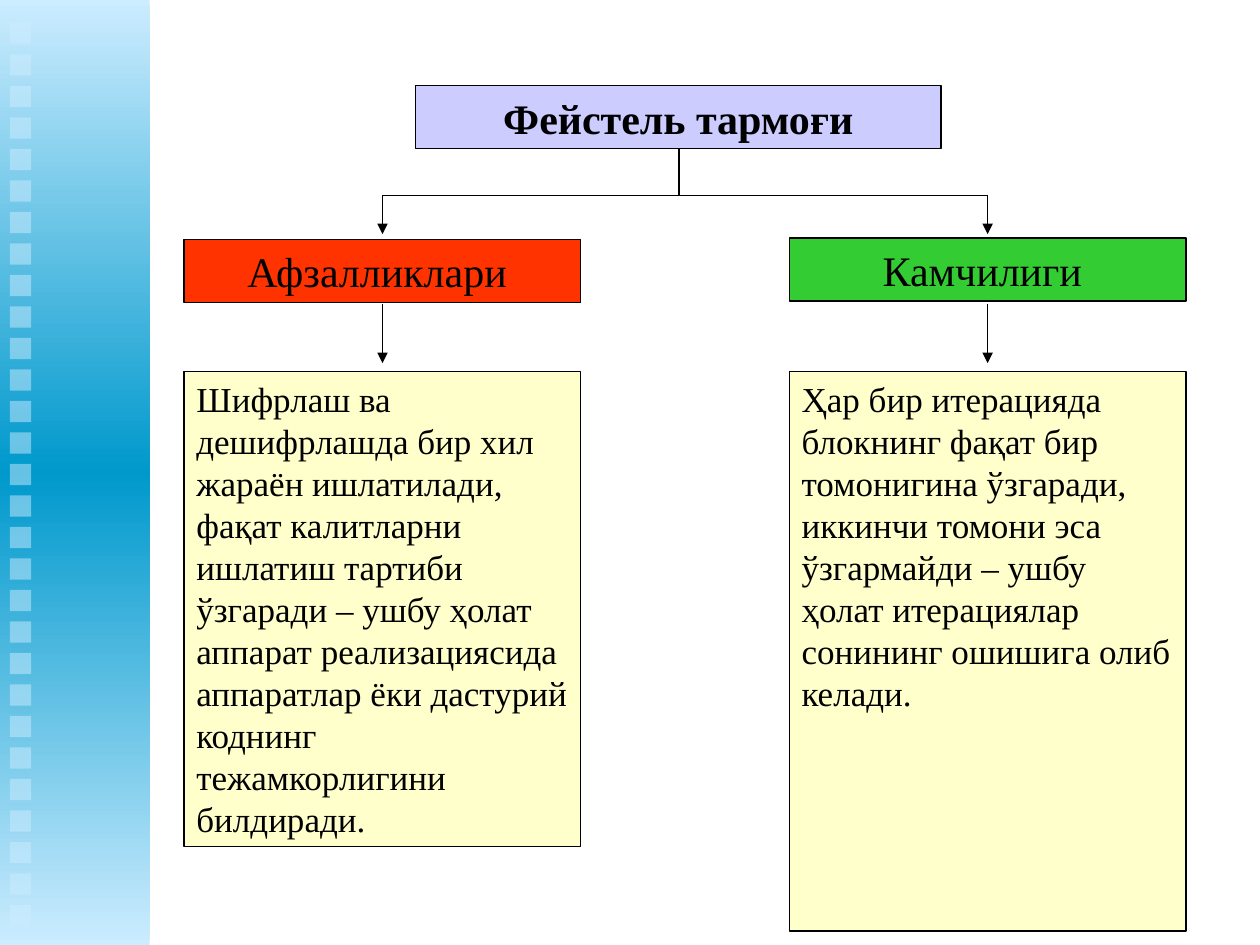
from copy import deepcopy

from pptx import Presentation
from pptx.dml.color import RGBColor
from pptx.enum import shapes, text
from pptx.oxml import ns, xmlchemy
from pptx.util import Cm, Pt

# Content: heading, fill, heading top, body, body height
TITLE = "Фейстель тармоғи"
RED = RGBColor(0xFF, 0x33, 0x00)
GREEN = RGBColor(0x33, 0xCC, 0x33)
COLUMNS = [
    ("Афзалликлари ", RED, 4.83,
     "Шифрлаш ва дешифрлашда бир хил жараён ишлатилади, фақат калитларни "
     "ишлатиш тартиби ўзгаради – ушбу ҳолат аппарат реализациясида "
     "аппаратлар ёки дастурий коднинг тежамкорлигини билдиради.", 9.58),
    ("Камчилиги ", GREEN, 4.8,
     "Ҳар бир итерацияда блокнинг фақат бир томонигина ўзгаради, иккинчи "
     "томони эса ўзгармайди – ушбу ҳолат итерациялар сонининг ошишига "
     "олиб келади.", 11.28),
]

# Style
BLACK = RGBColor(0, 0, 0)
LILAC = RGBColor(0xCC, 0xCC, 0xFF)
CREAM = RGBColor(0xFF, 0xFF, 0xCC)
PALE = RGBColor(0xCC, 0xEC, 0xFF)
BLUE = RGBColor(0x00, 0x99, 0xCC)
FONT = "Times New Roman"

# Grid, in cm
LEFT, STEP, WIDTH, HEAD = 3.71, 12.2, 8, 1.27
BODY, STEM, FORK = 7.49, 13.69, 3.94
SQUARES, FIRST, LAST, SIDE = 29, 0.46, 18.24, 0.43

prs = Presentation()
prs.slide_width, prs.slide_height = Cm(25.4), Cm(19.05)
slide = prs.slides.add_slide(prs.slide_layouts[5])


def add_rect(x, y, w, h):
    rect = slide.shapes.add_shape(
        shapes.MSO_SHAPE.RECTANGLE, Cm(x), Cm(y), Cm(w), Cm(h))
    rect.shadow.inherit = False
    return rect


def fill_box(box, words, color, size, align, bold=False):
    box.fill.solid()
    box.fill.fore_color.rgb = color
    box.line.color.rgb = BLACK
    box.line.width = Pt(0.75)
    frame = box.text_frame
    frame.word_wrap = True
    frame.auto_size = text.MSO_AUTO_SIZE.NONE
    frame.vertical_anchor = text.MSO_ANCHOR.TOP
    para = frame.paragraphs[0]
    para.alignment = align
    run = para.add_run()
    run.text = words
    font = run.font
    font.name, font.size, font.bold = FONT, Pt(size), bold
    font.color.rgb = BLACK


def add_line(x1, y1, x2, y2, arrow=False):
    line = slide.shapes.add_connector(
        shapes.MSO_CONNECTOR.STRAIGHT, Cm(x1), Cm(y1), Cm(x2), Cm(y2))
    line.line.color.rgb = BLACK
    line.line.width = Pt(0.75)
    if arrow:
        tip = xmlchemy.OxmlElement("a:tailEnd")
        tip.set("type", "triangle")
        line.line._get_or_add_ln().append(tip)
    line._element.spPr.append(xmlchemy.OxmlElement("a:effectLst"))


# Side band with a three-stop gradient
band = add_rect(0, 0, 3.02, 19.05)
band.line.fill.background()
band.fill.gradient()
band.fill.gradient_angle = 90
stops = band._element.spPr.find(".//" + ns.qn("a:gsLst"))
stops.append(deepcopy(stops[0]))
for stop, pos, color in zip(band.fill.gradient_stops, (0, 0.5, 1),
                            (PALE, BLUE, PALE)):
    stop.position = pos
    stop.color.rgb = color

# Half-transparent squares down the band
for i in range(SQUARES):
    y = FIRST + i * (LAST - FIRST) / (SQUARES - 1)
    square = add_rect(0.2, y, SIDE, SIDE)
    square.line.fill.background()
    square.fill.solid()
    square.fill.fore_color.rgb = PALE
    alpha = xmlchemy.OxmlElement("a:alpha")
    alpha.set("val", "50000")
    square._element.spPr.find(".//" + ns.qn("a:srgbClr")).append(alpha)

# Title
title = slide.shapes.title
title.left, title.top = Cm(8.38), Cm(1.73)
title.width, title.height = Cm(10.59), Cm(HEAD)
fill_box(title, TITLE, LILAC, 24, text.PP_ALIGN.CENTER, True)

# Fork below the title
mids = [LEFT + i * STEP + WIDTH / 2 for i in range(len(COLUMNS))]
add_line(STEM, 3, STEM, FORK)
add_line(mids[0], FORK, mids[-1], FORK)

# Columns: arrow, heading, arrow, body
for mid, (head, color, top, body, height) in zip(mids, COLUMNS):
    x = mid - WIDTH / 2
    fill_box(add_rect(x, top, WIDTH, HEAD), head, color, 24,
             text.PP_ALIGN.CENTER)
    fill_box(add_rect(x, BODY, WIDTH, height), body, CREAM, 20,
             text.PP_ALIGN.LEFT)
    add_line(mid, FORK, mid, 4.72, True)
    add_line(mid, 6.12, mid, 7.32, True)

prs.save("out.pptx")
